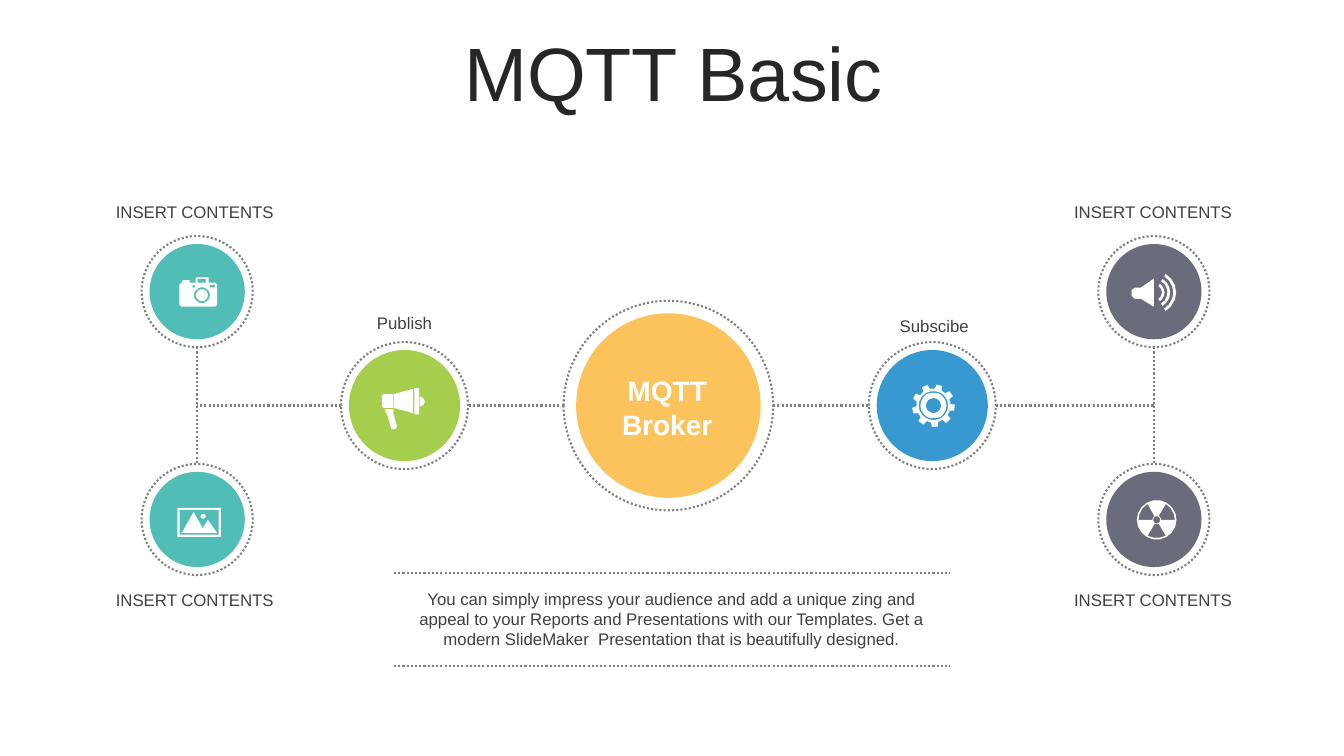
from dataclasses import dataclass
from math import cos, radians, sin

from lxml.etree import SubElement
from pptx import Presentation
from pptx.dml.color import RGBColor
from pptx.enum.dml import MSO_LINE
from pptx.enum.shapes import MSO_CONNECTOR, MSO_SHAPE
from pptx.enum.text import MSO_ANCHOR, PP_ALIGN
from pptx.oxml.ns import qn
from pptx.util import Cm, Pt


@dataclass(frozen=True)
class Theme:
    font: str = "Arial"
    title_color: str = "262626"
    text_color: str = "404040"
    white: str = "FFFFFF"
    line_color: str = "808080"
    orange: tuple = ("FBA200", 64)  # colour and opacity in percent
    blue: tuple = ("0680C3", 80)
    green: tuple = ("90C221", 80)
    teal: tuple = ("07A398", 70)
    slate: tuple = ("2C2F45", 70)
    title_size: int = 54
    broker_size: int = 20
    text_size: int = 12
    line_width: float = 1.5


THEME = Theme()
ICON_UNIT = Cm(0.01)
ARC_STEP = 20


def add_text(slide, box, lines, size, color, bold=False, line_spacing=None, space_before=None):
    left, top, width, height = box
    shape = slide.shapes.add_textbox(Cm(left), Cm(top), Cm(width), Cm(height))
    frame = shape.text_frame
    frame.word_wrap = True
    frame.vertical_anchor = MSO_ANCHOR.MIDDLE
    for index, line in enumerate(lines):
        paragraph = frame.add_paragraph() if index else frame.paragraphs[0]
        paragraph.alignment = PP_ALIGN.CENTER
        paragraph.line_spacing = line_spacing
        paragraph.space_before = space_before
        run = paragraph.add_run()
        run.text = line
        run.font.name = THEME.font
        run.font.size = Pt(size)
        run.font.bold = bold
        run.font.color.rgb = RGBColor.from_string(color)


def style_dotted(line):
    line.color.rgb = RGBColor.from_string(THEME.line_color)
    line.width = Pt(THEME.line_width)
    line.dash_style = MSO_LINE.ROUND_DOT


def add_dotted_line(slide, start_x, start_y, end_x, end_y):
    connector = slide.shapes.add_connector(
        MSO_CONNECTOR.STRAIGHT, Cm(start_x), Cm(start_y), Cm(end_x), Cm(end_y))
    style_dotted(connector.line)
    SubElement(connector._element.spPr, qn("a:effectLst"))


def add_circle(slide, center_x, center_y, diameter):
    shape = slide.shapes.add_shape(
        MSO_SHAPE.OVAL, Cm(center_x - diameter / 2), Cm(center_y - diameter / 2),
        Cm(diameter), Cm(diameter))
    shape.shadow.inherit = False
    return shape


def add_ringed_disc(slide, center_x, center_y, disc_size, ring_size, fill):
    color, opacity = fill
    disc = add_circle(slide, center_x, center_y, disc_size)
    disc.fill.solid()
    disc.fill.fore_color.rgb = RGBColor.from_string(color)
    color_element = disc._element.spPr.find(qn("a:solidFill"))[0]
    SubElement(color_element, qn("a:alpha")).set("val", str(opacity * 1000))
    disc.line.fill.background()
    ring = add_circle(slide, center_x, center_y, ring_size)
    ring.fill.background()
    style_dotted(ring.line)


# Icon outlines are in hundredths of a centimetre from the centre of their disc.
def arc(center_x, center_y, radius, start=0, end=360):
    steps = abs(end - start) // ARC_STEP
    angles = [radians(start + (end - start) * step / steps) for step in range(steps + 1)]
    return [(center_x + radius * cos(angle), center_y + radius * sin(angle)) for angle in angles]


def band(center_x, center_y, inner, outer, start, end):
    return (arc(center_x, center_y, outer, start, end)
            + arc(center_x, center_y, inner, end, start))


def rectangle(left, top, right, bottom):
    return [(left, top), (right, top), (right, bottom), (left, bottom)]


def camera():
    body = [(-45, -18), (-40, -23), (-37, -23), (-37, -29), (-19, -29), (-19, -23),
            (-4, -23), (-4, -36), (29, -36), (29, -23), (45, -23), (50, -18),
            (50, 33), (45, 38), (-40, 38), (-45, 33)]
    return [body, arc(12, 9, 20), arc(12, 9, 15), rectangle(1, -32, 22, -23),
            rectangle(-12, -16, -5, -11), rectangle(32, -17, 45, -11)]


def landscape():
    mountains = [(-39, 34), (-9, -19), (14, 22), (27, 1), (50, 34)]
    return [rectangle(-50, -29, 60, 44), rectangle(-44, -24, 54, 38),
            mountains, arc(15, -8, 6)]


def megaphone():
    box = [(-57, -25), (-53, -29), (-29, -29), (-29, 6), (-53, 6), (-57, 2)]
    cone = [(-27, -29), (22, -42), (22, 19), (-27, 6)]
    handle = [(-50, 9), (-29, 9), (-27, 14), (-29, 17), (-19, 52), (-21, 58),
              (-27, 60), (-32, 59), (-34, 57), (-44, 22), (-47, 19)]
    return [box, cone, handle, rectangle(25, -44, 37, 22), arc(39, -10, 12, -90, 90)]


def loudspeaker():
    horn = [(0, -33), (0, 38), (-33, 18), (-48, 18), (-56, 11),
            (-56, -4), (-48, -10), (-33, -10)]
    return [horn] + [band(2, 2, radius - 7, radius, -60, 60) for radius in (25, 39, 54)]


def radiation():
    blades = [band(7, 1, 11, 46, start, start + 60) for start in (60, 180, 300)]
    return [arc(7, 1, 50), arc(7, 1, 9)] + blades


def gear():
    tooth = [(43, -12), (54, -8), (54, 8), (43, 12)]
    outline = [(3 + radius * cos(radians(center + offset)), radius * sin(radians(center + offset)))
               for center in range(-74, 286, 40) for radius, offset in tooth]
    return [outline] + [arc(3, 0, radius) for radius in (37, 33, 19)]


def add_icon(slide, center_x, center_y, contours):
    first, *others = contours
    builder = slide.shapes.build_freeform(*first[0], scale=ICON_UNIT)
    builder.add_line_segments(first[1:], close=True)
    for contour in others:
        builder.move_to(*contour[0])
        builder.add_line_segments(contour[1:], close=True)
    shape = builder.convert_to_shape(Cm(center_x), Cm(center_y))
    shape.shadow.inherit = False
    shape.fill.solid()
    shape.fill.fore_color.rgb = RGBColor.from_string(THEME.white)
    shape.line.fill.background()


def add_node(slide, center_x, center_y, ring_size, fill, contours, label, label_x, label_y):
    """Draw a ringed icon; the label is centred at an offset from its centre."""
    add_ringed_disc(slide, center_x, center_y, ring_size - 0.4, ring_size, fill)
    add_icon(slide, center_x, center_y, contours)
    add_text(slide, (center_x + label_x - 2.33, center_y + label_y - 0.38, 4.66, 0.76),
             [label], THEME.text_size, THEME.text_color)


def add_diagram(slide, left, top, width, height):
    """Place the broker near the middle of the box, with clients at its corners."""
    end_size, link_size, broker_size, end_label_y = 2.8, 3.2, 5.28, 2.02
    middle_x, middle_y = left + width / 2, top + height / 2
    broker_x = middle_x - 0.18
    sides = [
        (-1, THEME.green, megaphone, "Publish", 0, -2.08,
         THEME.teal, (camera, landscape), -0.06),
        (1, THEME.blue, gear, "Subscibe", 0.05, -2,
         THEME.slate, (loudspeaker, radiation), -0.02),
    ]
    add_ringed_disc(slide, broker_x, middle_y, 4.65, broker_size, THEME.orange)
    add_text(slide, (broker_x - 2.03, middle_y - 0.93, 4, 1.96), ["MQTT", "Broker"],
             THEME.broker_size, THEME.white, bold=True)
    for (side, link_fill, link_icon, link_label, link_label_x, link_label_y,
         end_fill, end_icons, end_label_x) in sides:
        end_x = middle_x + side * width / 2
        link_x = broker_x + side * 6.65
        add_dotted_line(slide, broker_x + side * broker_size / 2, middle_y,
                        link_x - side * link_size / 2, middle_y)
        add_dotted_line(slide, link_x + side * link_size / 2, middle_y, end_x, middle_y)
        add_dotted_line(slide, end_x, middle_y - height / 2 + end_size / 2,
                        end_x, middle_y + height / 2 - end_size / 2)
        add_node(slide, link_x, middle_y, link_size, link_fill, link_icon(),
                 link_label, link_label_x, link_label_y)
        for direction, end_icon in zip((-1, 1), end_icons):
            add_node(slide, end_x, middle_y + direction * height / 2, end_size, end_fill,
                     end_icon(), "INSERT CONTENTS", end_label_x, direction * end_label_y)


def add_summary(slide, left, top, width, height):
    for y in (top, top + height):
        add_dotted_line(slide, left, y, left + width, y)
    add_text(slide, (left - 0.08, top + 0.27, width + 0.16, 1.8),
             ["You can simply impress your audience and add a unique zing and appeal to your "
              "Reports and Presentations with our Templates. Get a modern SlideMaker  "
              "Presentation that is beautifully designed."],
             THEME.text_size, THEME.text_color)


def main():
    presentation = Presentation()
    presentation.slide_width, presentation.slide_height = Cm(33.87), Cm(19.05)
    slide = presentation.slides.add_slide(presentation.slide_layouts[6])
    add_text(slide, (0.89, 0.94, 32.16, 2), ["MQTT Basic"], THEME.title_size,
             THEME.title_color, line_spacing=0.9, space_before=Pt(10))
    add_diagram(slide, 4.97, 7.35, 24.11, 5.74)
    add_summary(slide, 9.93, 14.43, 14, 2.35)
    presentation.save("out.pptx")


if __name__ == "__main__":
    main()
